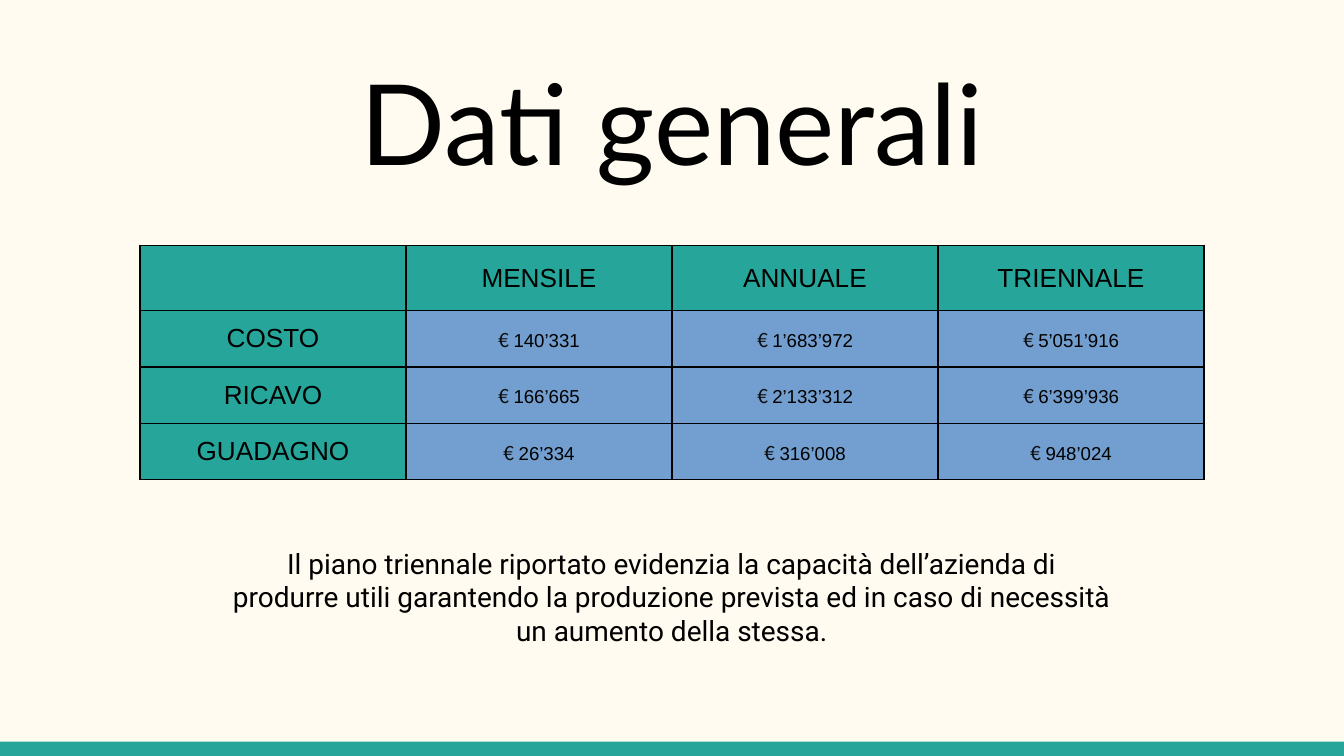
import pptx
import pptx.dml.color
import pptx.enum.shapes
import pptx.enum.text
import pptx.oxml
import pptx.oxml.ns
import pptx.util

Pt = pptx.util.Pt

TITLE = "Dati generali"
HEADERS = ["", "MENSILE", "ANNUALE", "TRIENNALE"]
ROWS = [
    ("COSTO", "140’331", "1’683’972", "5’051’916"),
    ("RICAVO", "166’665", "2’133’312", "6’399’936"),
    ("GUADAGNO", "26’334", "316’008", "948’024"),
]
COMMENT = (
    "Il piano triennale riportato evidenzia la capacità dell’azienda di "
    "produrre utili garantendo la produzione prevista ed in caso di necessità "
    "un aumento della stessa."
)

COLORS = {
    "cream": "FFFBF0",
    "teal": "26A69A",
    "blue": "729FCF",
    "black": "000000",
    "ink": "0D0D0D",
}
FORMATS = {
    "title": {"name": "Lato", "size": Pt(60), "color": "black"},
    "comment": {"name": "Roboto", "size": Pt(15), "color": "black"},
    "label": {"name": "Arial", "size": Pt(14), "color": "black"},
    "currency": {"name": "Noto Sans CJK JP", "size": Pt(10.5), "color": "ink"},
    "amount": {"name": "Arial", "size": Pt(10), "color": "black"},
}

PAGE_WIDTH, PAGE_HEIGHT = 720, 405
FOOTER_HEIGHT = 7.6
TABLE_LEFT, TABLE_TOP = 75, 131.4
COLUMN_WIDTH = 142.5
HEADER_HEIGHT, ROW_HEIGHT = 35, 30.2
BORDER_WIDTH = 0.75
TITLE_AREA = (46.6, 21.6, 627, 86.4)
COMMENT_AREA = (117.2, 255.2, 485.4, 129)


def rgb(color):
    return pptx.dml.color.RGBColor.from_string(COLORS[color])


def paint(fill, color):
    fill.solid()
    fill.fore_color.rgb = rgb(color)


def write(para, spans):
    """Fill a centred paragraph with (text, format name) spans."""
    para.alignment = pptx.enum.text.PP_ALIGN.CENTER
    for text, style in spans:
        span = para.add_run()
        span.text = text
        for key, value in FORMATS[style].items():
            if key == "color":
                span.font.color.rgb = rgb(value)
            else:
                setattr(span.font, key, value)


def add_text(page, area, text, style):
    frame = page.shapes.add_textbox(*map(Pt, area)).text_frame
    settings = {
        "word_wrap": True,
        "vertical_anchor": pptx.enum.text.MSO_ANCHOR.MIDDLE,
        **{f"margin_{side}": Pt(7.2) for side in ("left", "top", "right", "bottom")},
    }
    for key, value in settings.items():
        setattr(frame, key, value)
    write(frame.paragraphs[0], [(text, style)])


def add_borders(cell):
    properties = cell._tc.get_or_add_tcPr()
    for side in ("lnL", "lnR", "lnT", "lnB"):
        properties.append(pptx.oxml.parse_xml(
            f'<a:{side} {pptx.oxml.ns.nsdecls("a")} w="{int(Pt(BORDER_WIDTH))}">'
            f'<a:solidFill><a:srgbClr val="{COLORS["black"]}"/></a:solidFill></a:{side}>'
        ))


def add_data_table(page):
    grid = [HEADERS, *ROWS]
    heights = [HEADER_HEIGHT] + [ROW_HEIGHT] * len(ROWS)
    table = page.shapes.add_table(
        len(grid), len(HEADERS), Pt(TABLE_LEFT), Pt(TABLE_TOP),
        Pt(COLUMN_WIDTH * len(HEADERS)), Pt(sum(heights)),
    ).table
    for column in table.columns:
        column.width = Pt(COLUMN_WIDTH)
    for row, height in zip(table.rows, heights):
        row.height = Pt(height)
    for row_index, texts in enumerate(grid):
        for column_index, text in enumerate(texts):
            cell = table.cell(row_index, column_index)
            is_label = row_index == 0 or column_index == 0
            add_borders(cell)
            paint(cell.fill, "teal" if is_label else "blue")
            cell.vertical_anchor = pptx.enum.text.MSO_ANCHOR.MIDDLE
            cell.margin_top = cell.margin_bottom = Pt(3.6)
            if text:
                spans = [(text, "label")] if is_label else [("€ ", "currency"), (text, "amount")]
                write(cell.text_frame.paragraphs[0], spans)


def add_footer(page):
    bar = page.shapes.add_shape(
        pptx.enum.shapes.MSO_SHAPE.RECTANGLE,
        0, Pt(PAGE_HEIGHT - FOOTER_HEIGHT), Pt(PAGE_WIDTH), Pt(FOOTER_HEIGHT),
    )
    bar.shadow.inherit = False
    paint(bar.fill, "teal")
    bar.line.fill.background()


def main():
    deck = pptx.Presentation()
    deck.slide_width, deck.slide_height = Pt(PAGE_WIDTH), Pt(PAGE_HEIGHT)
    page = deck.slides.add_slide(deck.slide_layouts[6])
    paint(page.background.fill, "cream")
    add_footer(page)
    add_data_table(page)
    add_text(page, COMMENT_AREA, COMMENT, "comment")
    add_text(page, TITLE_AREA, TITLE, "title")
    deck.save("out.pptx")


if __name__ == "__main__":
    main()
